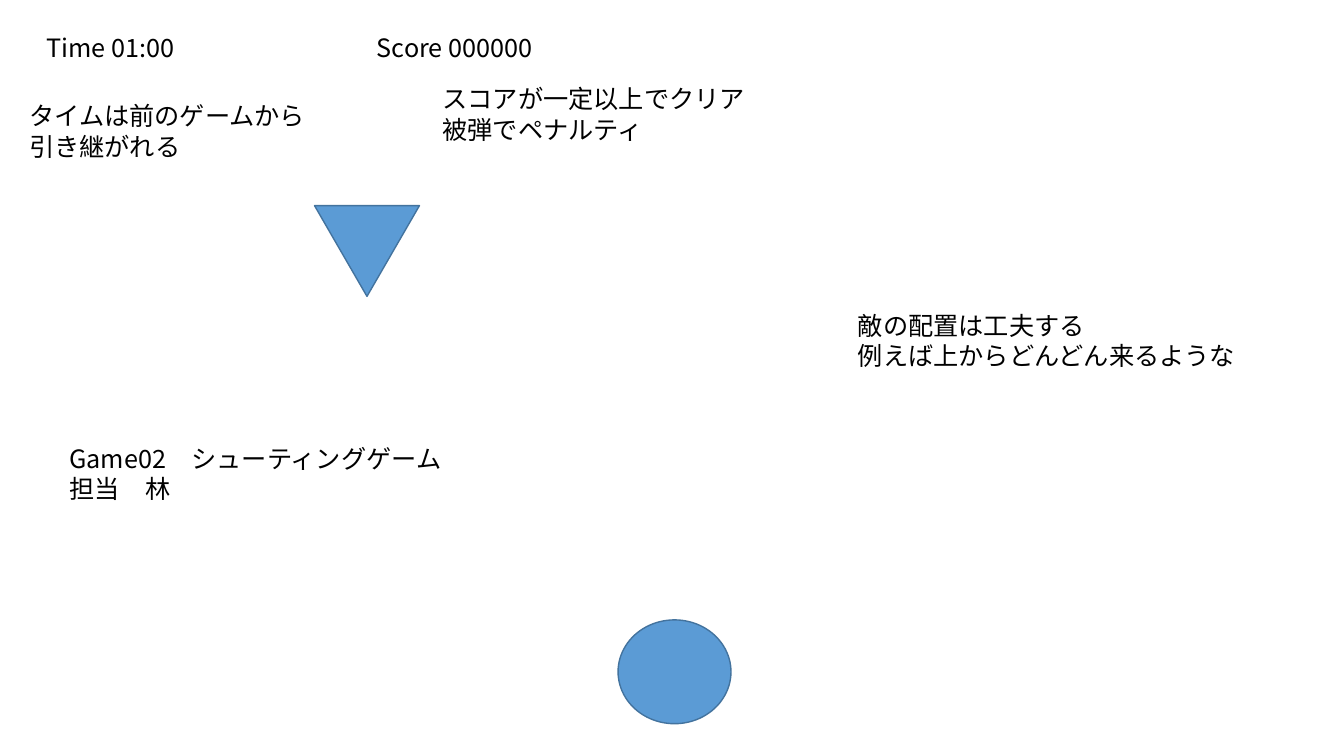
from typing import NamedTuple

from lxml.etree import SubElement
from pptx import Presentation
from pptx.dml.color import RGBColor
from pptx.enum.shapes import MSO_SHAPE as Preset
from pptx.enum.text import MSO_AUTO_SIZE as AutoSize
from pptx.oxml.ns import qn
from pptx.slide import Slide
from pptx.util import Emu, Pt

EMU_PER_PX = 9144  # 100 px to the inch
FONT = "Noto Sans CJK JP"
TEXT_SIZE = Pt(18)
COLORS = {"text": "000000", "fill": "5B9BD5", "outline": "43739E"}


class Box(NamedTuple):
    left: int
    top: int
    width: int
    height: int


class Piece(NamedTuple):
    box: Box
    preset: Preset
    rotation: int = 0


class Label(NamedTuple):
    box: Box
    lines: tuple[str, ...]


PIECES = (
    Piece(Box(312, 204, 104, 90), Preset.ISOSCELES_TRIANGLE, 180),  # enemy
    Piece(Box(613, 615, 112, 103), Preset.OVAL),  # player
)

LABELS = (
    Label(Box(36, 27, 239, 40), ("Time 01:00",)),
    Label(Box(19, 95, 301, 71), ("タイムは前のゲームから引き継がれる",)),
    Label(Box(364, 27, 183, 40), ("Score 000000",)),
    Label(Box(429, 78, 341, 71), ("スコアが一定以上でクリア", "被弾でペナルティ")),
    Label(Box(59, 435, 396, 71), ("Game02　シューティングゲーム", "担当　林")),
    Label(Box(841, 303, 412, 71), ("敵の配置は工夫する", "例えば上からどんどん来るような")),
)


def px(length: int) -> Emu:
    return Emu(length * EMU_PER_PX)


def color(name: str) -> RGBColor:
    return RGBColor.from_string(COLORS[name])


def draw_piece(slide: Slide, piece: Piece) -> None:
    shape = slide.shapes.add_shape(piece.preset, *map(px, piece.box))
    shape.rotation = piece.rotation
    shape.shadow.inherit = False
    shape.fill.solid()
    shape.fill.fore_color.rgb = color("fill")
    shape.line.color.rgb = color("outline")
    shape.line.width = Pt(1)


def draw_label(slide: Slide, label: Label) -> None:
    frame = slide.shapes.add_textbox(*map(px, label.box)).text_frame
    frame.word_wrap = True
    frame.auto_size = AutoSize.SHAPE_TO_FIT_TEXT
    for index, line in enumerate(label.lines):
        paragraph = frame.add_paragraph() if index else frame.paragraphs[0]
        run = paragraph.add_run()
        run.text = line
        run.font.size = TEXT_SIZE
        run.font.color.rgb = color("text")
        run.font.name = FONT
        # Japanese glyphs take the East Asian typeface
        SubElement(run.font._element, qn("a:ea"), typeface=FONT)


def main() -> None:
    presentation = Presentation()
    presentation.slide_width = px(1333)
    presentation.slide_height = px(750)
    blank_layout = presentation.slide_layouts[6]
    slide = presentation.slides.add_slide(blank_layout)

    # Game pieces
    for piece in PIECES:
        draw_piece(slide, piece)

    # Game display and design notes
    for label in LABELS:
        draw_label(slide, label)

    presentation.save("out.pptx")


if __name__ == "__main__":
    main()
